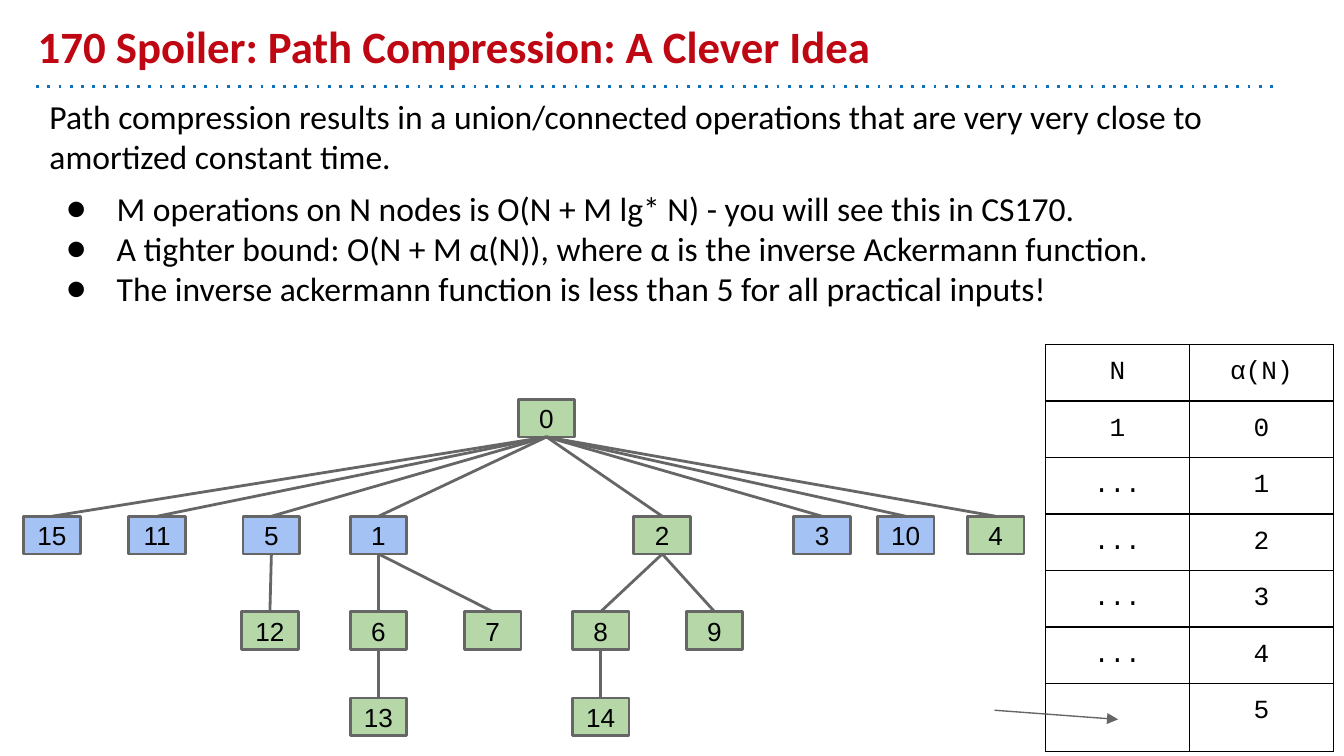
from lxml.etree import SubElement
from pptx import Presentation
from pptx.dml.color import RGBColor
from pptx.enum.shapes import MSO_CONNECTOR, MSO_SHAPE
from pptx.enum.text import MSO_ANCHOR, MSO_AUTO_SIZE, PP_ALIGN
from pptx.oxml.ns import qn
from pptx.util import Pt

BLACK = RGBColor(0x00, 0x00, 0x00)
RED = RGBColor(0xBE, 0x07, 0x12)
RULE_BLUE = RGBColor(0x10, 0x72, 0xBD)
NODE_BLUE = RGBColor(0xA4, 0xC2, 0xF4)
NODE_GREEN = RGBColor(0xB6, 0xD7, 0xA8)
GRAY = RGBColor(0x66, 0x66, 0x66)

INTRO = ("Path compression results in a union/connected operations that are "
         "very very close to amortized constant time.")
BULLETS = [
    "M operations on N nodes is O(N + M lg* N) - you will see this in CS170.",
    "A tighter bound: O(N + M α(N)), where α is the inverse Ackermann function.",
    "The inverse ackermann function is less than 5 for all practical inputs!",
]

NODE_WIDTH, NODE_HEIGHT = 30.4, 20.2
LEVEL_TOPS = [0, 62.7, 113.8, 160]
NODES = [
    ("0", None, 0, 265),
    ("15", "0", 1, 0),
    ("11", "0", 1, 56.4),
    ("5", "0", 1, 117.6),
    ("1", "0", 1, 175),
    ("2", "0", 1, 327),
    ("3", "0", 1, 412.6),
    ("10", "0", 1, 457.4),
    ("4", "0", 1, 505.6),
    ("12", "5", 2, 116.8),
    ("6", "1", 2, 175),
    ("7", "1", 2, 236.2),
    ("8", "2", 2, 294),
    ("9", "2", 2, 355),
    ("13", "6", 3, 175),
    ("14", "8", 3, 294),
]
BLUE_NODES = {"15", "11", "5", "1", "3", "10"}

ROWS = [("N", "α(N)"), ("1", "0"), ("...", "1"), ("...", "2"),
        ("...", "3"), ("...", "4"), ("", "5")]


def place(shape, box):
    """Move and size a shape to a box given in points."""
    shape.left, shape.top, shape.width, shape.height = map(Pt, box)


def set_margins(target, size=7.2):
    """Give a text frame or cell equal margins."""
    target.margin_left = target.margin_right = Pt(size)
    target.margin_top = target.margin_bottom = Pt(size)


def add_span(paragraph, text, font, size, color=BLACK, bold=False):
    """Add one formatted run to a paragraph."""
    span = paragraph.add_run()
    span.text = text
    span.font.name = font
    span.font.size = Pt(size)
    span.font.color.rgb = color
    span.font.bold = bold


def add_line(page, start, end, color, width):
    """Draw a straight connector without shadow."""
    line = page.shapes.add_connector(
        MSO_CONNECTOR.STRAIGHT, *map(Pt, (*start, *end)))
    line.line.color.rgb = color
    line.line.width = Pt(width)
    SubElement(line._element.spPr, qn("a:effectLst"))
    return line


def end_line_with(line, tag, **attributes):
    """Add a dash or arrowhead element to a connector's outline."""
    outline = line._element.spPr.find(qn("a:ln"))
    SubElement(outline, qn(tag), **attributes)


def set_bullet(paragraph, bulleted):
    """Set the indent and bullet of a body paragraph."""
    properties = paragraph._p.get_or_add_pPr()
    properties.set("marL", str(Pt(36) if bulleted else 0))
    properties.set("indent", str(Pt(-27) if bulleted else 0))
    if bulleted:
        color = SubElement(properties, qn("a:buClr"))
        SubElement(color, qn("a:srgbClr"), val=str(BLACK))
        SubElement(properties, qn("a:buFont"), typeface="Calibri")
        SubElement(properties, qn("a:buChar"), char="●")
    else:
        SubElement(properties, qn("a:buNone"))


def fill_title(page, box):
    """Fill the title placeholder and underline it with a dotted rule."""
    left, top, width, height = box
    title = page.shapes.title
    place(title, box)
    frame = title.text_frame
    frame.auto_size = MSO_AUTO_SIZE.NONE
    frame.vertical_anchor = MSO_ANCHOR.BOTTOM
    set_margins(frame)
    paragraph = frame.paragraphs[0]
    paragraph.alignment = PP_ALIGN.LEFT
    add_span(paragraph, "170 Spoiler: Path Compression: A Clever Idea",
             "Calibri", 24, RED, True)
    bottom = top + height
    rule = add_line(page, (left + 6.4, bottom), (left + 671, bottom), RULE_BLUE, 1.5)
    end_line_with(rule, "a:prstDash", val="dot")


def fill_body(page, box):
    """Fill the body placeholder with the intro and its bullets."""
    body = page.placeholders[1]
    place(body, box)
    frame = body.text_frame
    frame.auto_size = MSO_AUTO_SIZE.NONE
    frame.vertical_anchor = MSO_ANCHOR.TOP
    set_margins(frame)
    for index, text in enumerate([INTRO, *BULLETS]):
        paragraph = frame.paragraphs[0] if index == 0 else frame.add_paragraph()
        set_bullet(paragraph, index > 0)
        paragraph.space_before = Pt(6 if index == 1 else 0)
        add_span(paragraph, text, "Calibri", 18)


def add_node(page, label, box):
    """Draw one labelled tree node."""
    node = page.shapes.add_shape(MSO_SHAPE.RECTANGLE, *map(Pt, box))
    node.shadow.inherit = False
    node.fill.solid()
    node.fill.fore_color.rgb = NODE_BLUE if label in BLUE_NODES else NODE_GREEN
    node.line.color.rgb = GRAY
    node.line.width = Pt(1.5)
    frame = node.text_frame
    frame.vertical_anchor = MSO_ANCHOR.MIDDLE
    set_margins(frame)
    frame.paragraphs[0].alignment = PP_ALIGN.CENTER
    add_span(frame.paragraphs[0], label, "Arial", 14)
    return node


def add_tree(page, left, top):
    """Draw the tree and join each node to its parent."""
    nodes = {}
    for label, parent, level, offset in NODES:
        nodes[label] = add_node(page, label, (
            left + offset, top + LEVEL_TOPS[level], NODE_WIDTH, NODE_HEIGHT))
        if parent is not None:
            edge = add_line(page, (0, 0), (0, 0), GRAY, 1.5)
            edge.begin_connect(nodes[label], 0)
            edge.end_connect(nodes[parent], 2)


def set_borders(cell):
    """Give a cell thin black borders on all sides."""
    properties = cell._tc.get_or_add_tcPr()
    for position, side in enumerate(("lnL", "lnR", "lnT", "lnB")):
        border = properties.makeelement(qn(f"a:{side}"), {"w": str(Pt(0.75))})
        fill = SubElement(border, qn("a:solidFill"))
        SubElement(fill, qn("a:srgbClr"), val=str(BLACK))
        properties.insert(position, border)


def add_inverse_table(page, box):
    """Draw the table of inverse Ackermann values and its arrow."""
    left, top, width, height = box
    table = page.shapes.add_table(len(ROWS), 2, *map(Pt, box)).table
    table.first_row = table.horz_banding = False
    for column in table.columns:
        column.width = Pt(width / 2)
    row_height = 30.3
    for row, values in zip(table.rows, ROWS):
        row.height = Pt(row_height)
        for cell, value in zip(row.cells, values):
            cell.fill.background()
            set_margins(cell)
            set_borders(cell)
            if value:
                paragraph = cell.text_frame.paragraphs[0]
                paragraph.alignment = PP_ALIGN.CENTER
                add_span(paragraph, value, "Courier New", 14)
    table.rows[len(ROWS) - 1].height = Pt(height - row_height * (len(ROWS) - 1))
    arrow = add_line(page, (left - 27.2, top + 196), (left + 39, top + 200.9), GRAY, 0.75)
    end_line_with(arrow, "a:tailEnd", type="triangle")


def main():
    """Build and save the slide."""
    deck = Presentation()
    deck.slide_width, deck.slide_height = Pt(720), Pt(405)
    page = deck.slides.add_slide(deck.slide_layouts[1])
    fill_title(page, (13, 7.3, 648, 38.9))
    fill_body(page, (19.3, 44, 700.7, 164))
    add_tree(page, 12.6, 213.9)
    add_inverse_table(page, (560, 184.5, 154.4, 216.1))
    deck.save("out.pptx")


if __name__ == "__main__":
    main()
